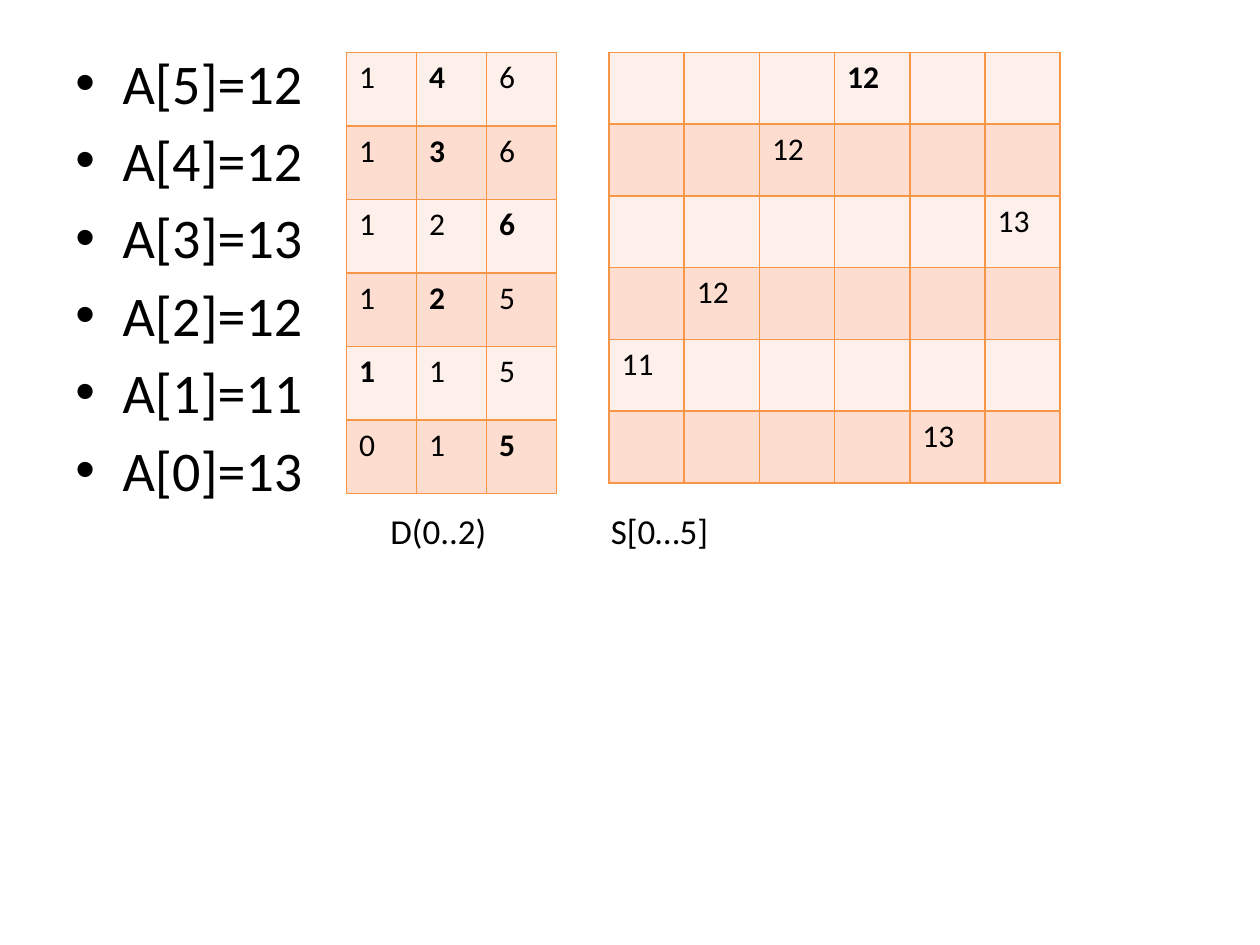
import pptx
import pptx.util
import pptx.dml.color
import pptx.oxml
import pptx.oxml.ns
from lxml import etree

Pt = pptx.util.Pt
FONT = "Calibri"
COLORS = {"text": "000000", "border": "F79646", "odd": "FDEFE9", "even": "FCDDCF"}

ENTRIES = ["A[5]=12", "A[4]=12", "A[3]=13", "A[2]=12", "A[1]=11", "A[0]=13"]
CAPTION = "D(0..2)\t\tS[0…5]"

# Cells marked with * are bold.
D_ROWS = [
    ["1", "*4", "6"],
    ["1", "*3", "6"],
    ["1", "2", "*6"],
    ["1", "*2", "5"],
    ["*1", "1", "5"],
    ["0", "1", "*5"],
]
# Column and value placed in each step.
S_STEPS = [(3, "*12"), (2, "12"), (5, "13"), (1, "12"), (0, "11"), (4, "13")]
S_ROWS = [[value if c == col else "" for c in range(6)] for col, value in S_STEPS]

# rows, left, top, column width, row height
TABLES = [(D_ROWS, 198, 30, 40, 42), (S_ROWS, 348, 30, 43, 41)]


def rgb(name):
    """Return a palette colour."""
    return pptx.dml.color.RGBColor.from_string(COLORS[name])


def style(p, size, bold=False):
    """Set the font of a paragraph."""
    p.font.name, p.font.size, p.font.bold = FONT, Pt(size), bold
    p.font.color.rgb = rgb("text")


def add_paragraph(p, text, size, before, margin, indent, bullet=False):
    """Fill a paragraph with a hanging indent and an optional bullet."""
    p.text = text
    p.space_before = Pt(before)
    style(p, size)
    pPr = p._p.get_or_add_pPr()
    pPr.set("marL", str(Pt(margin)))
    pPr.set("indent", str(Pt(indent)))
    mark = None
    if bullet:
        font = etree.Element(pptx.oxml.ns.qn("a:buFont"), typeface="Arial")
        mark = etree.Element(pptx.oxml.ns.qn("a:buChar"), char="•")
        marks = [font, mark]
    else:
        marks = [etree.Element(pptx.oxml.ns.qn("a:buNone"))]
    for mark in marks:
        pPr.find(pptx.oxml.ns.qn("a:defRPr")).addprevious(mark)


def add_borders(cell):
    """Draw a thin line on all four sides of a cell."""
    tcPr = cell._tc.get_or_add_tcPr()
    for i, side in enumerate(("lnL", "lnR", "lnT", "lnB")):
        tcPr.insert(i, pptx.oxml.parse_xml(
            f'<a:{side} {pptx.oxml.ns.nsdecls("a")} w="{Pt(1)}"><a:solidFill>'
            f'<a:srgbClr val="{COLORS["border"]}"/></a:solidFill></a:{side}>'))


def add_grid(s, rows, left, top, col_width, row_height):
    """Add a banded table of equal cells."""
    n, m = len(rows), len(rows[0])
    table = s.shapes.add_table(n, m, Pt(left), Pt(top),
                               Pt(m * col_width), Pt(n * row_height)).table
    table.first_row = False
    for column in table.columns:
        column.width = Pt(col_width)
    for i, values in enumerate(rows):
        table.rows[i].height = Pt(row_height)
        for j, value in enumerate(values):
            cell = table.cell(i, j)
            cell.fill.solid()
            cell.fill.fore_color.rgb = rgb("even" if i % 2 else "odd")
            add_borders(cell)
            p = cell.text_frame.paragraphs[0]
            p.text = value.lstrip("*")
            style(p, 18, value.startswith("*"))


prs = pptx.Presentation()
prs.slide_width, prs.slide_height = Pt(720), Pt(540)
s = prs.slides.add_slide(prs.slide_layouts[6])

tf = s.shapes.add_textbox(Pt(36), Pt(24), Pt(648), Pt(492)).text_frame
tf.word_wrap = True
for i, entry in enumerate(ENTRIES):
    p = tf.add_paragraph() if i else tf.paragraphs[0]
    add_paragraph(p, entry, 32, 5.8, 27, -27, bullet=True)
add_paragraph(tf.add_paragraph(), CAPTION, 20, 4, 198, -18)

for grid in TABLES:
    add_grid(s, *grid)

prs.save("out.pptx")
